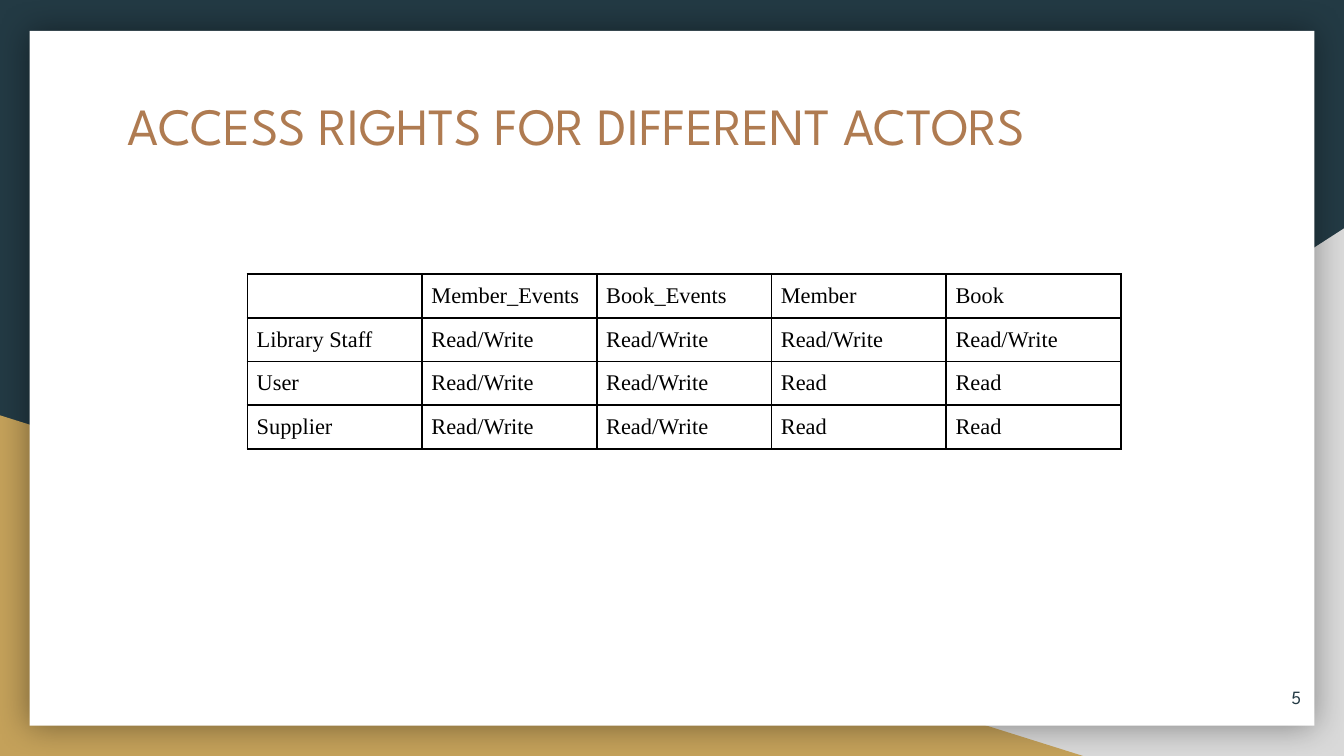
from lxml.etree import SubElement
from pptx import Presentation
from pptx.dml.color import RGBColor
from pptx.enum.shapes import MSO_SHAPE
from pptx.enum.text import MSO_ANCHOR, PP_ALIGN
from pptx.oxml.ns import qn
from pptx.util import Inches, Pt

NAVY = RGBColor(0x23, 0x3A, 0x44)
GREY = RGBColor(0xD9, 0xD9, 0xD9)
GOLD = RGBColor(0xC4, 0xA1, 0x5A)
COPPER = RGBColor(0xAF, 0x7B, 0x51)
WHITE = RGBColor(0xFF, 0xFF, 0xFF)
BLACK = RGBColor(0, 0, 0)
HEAD_FONT, TABLE_FONT = "League Spartan", "Times New Roman"

# Content
TITLE = "ACCESS RIGHTS FOR DIFFERENT ACTORS"
PAGE = "5"
RIGHTS = [
    ["", "Member_Events", "Book_Events", "Member", "Book"],
    ["Library Staff", "Read/Write", "Read/Write", "Read/Write", "Read/Write"],
    ["User", "Read/Write", "Read/Write", "Read", "Read"],
    ["Supplier", "Read/Write", "Read/Write", "Read", "Read"],
]
SLIDE_W = 10
SLIDE_H = SLIDE_W * 9 / 16
COL_W, ROW_H = 1.3, 0.32


def write(tf, text, size, color, font, align=PP_ALIGN.LEFT,
          anchor=MSO_ANCHOR.TOP, inset=0.1):
    tf.word_wrap = True
    tf.vertical_anchor = anchor
    tf.margin_left = tf.margin_right = Inches(inset)
    tf.margin_top = tf.margin_bottom = Inches(inset)
    p = tf.paragraphs[0]
    p.alignment = align
    r = p.add_run()
    r.text = text
    r.font.size, r.font.name = Pt(size), font
    r.font.color.rgb = color


def add_panel(s, kind, box, fill):
    sp = s.shapes.add_shape(kind, *map(Inches, box))
    sp.shadow.inherit = False
    sp.fill.solid()
    sp.fill.fore_color.rgb = fill
    sp.line.fill.background()
    return sp


def add_glow(sp, color, alpha, blur):
    effects = sp._element.spPr.find(qn("a:effectLst"))
    shadow = SubElement(effects, qn("a:outerShdw"), blurRad=str(Pt(blur)),
                        dist="0", dir="0", algn="ctr", rotWithShape="0")
    clr = SubElement(shadow, qn("a:srgbClr"), val=str(color))
    SubElement(clr, qn("a:alpha"), val=str(alpha * 1000))


def add_borders(cell, color, width):
    tcPr = cell._tc.get_or_add_tcPr()
    for i, side in enumerate(("lnL", "lnR", "lnT", "lnB")):
        ln = tcPr.makeelement(qn(f"a:{side}"), {"w": str(Pt(width))})
        fill = SubElement(ln, qn("a:solidFill"))
        SubElement(fill, qn("a:srgbClr"), val=str(color))
        tcPr.insert(i, ln)


prs = Presentation()
prs.slide_width, prs.slide_height = Inches(SLIDE_W), Inches(SLIDE_H)
s = prs.slides.add_slide(prs.slide_layouts[5])

# Backdrop
s.background.fill.solid()
s.background.fill.fore_color.rgb = NAVY
corner = add_panel(s, MSO_SHAPE.RIGHT_TRIANGLE,
                   (3.92, 1.7, SLIDE_W - 3.92, SLIDE_H - 1.7), GREY)
corner._element.spPr.find(qn("a:xfrm")).set("flipH", "1")
add_panel(s, MSO_SHAPE.RIGHT_TRIANGLE, (0, 3.09, 8.06, SLIDE_H - 3.09), GOLD)
card = add_panel(s, MSO_SHAPE.RECTANGLE, (0.22, 0.23, 9.56, 5.17), WHITE)
add_glow(card, BLACK, 40, 18)

# Title, moved in front of the card
title = s.shapes.title
title.left, title.top = Inches(0.85), Inches(0.59)
title.width, title.height = Inches(8.21), Inches(1.04)
write(title.text_frame, TITLE, 28, COPPER, HEAD_FONT)
s.shapes._spTree.append(title._element)

# Access rights table
rows, cols = len(RIGHTS), len(RIGHTS[0])
table = s.shapes.add_table(rows, cols, Inches(1.84), Inches(2.04),
                           Inches(cols * COL_W), Inches(rows * ROW_H)).table
table.first_row = table.horz_banding = False
for i, row in enumerate(RIGHTS):
    for j, text in enumerate(row):
        cell = table.cell(i, j)
        cell.fill.background()
        add_borders(cell, BLACK, 1)
        cell.margin_left = cell.margin_right = Inches(0.07)
        cell.margin_top = cell.margin_bottom = Inches(0.07)
        if text:
            write(cell.text_frame, text, 12, BLACK, TABLE_FONT, inset=0.07)
        else:  # keep the empty cell from stretching its row
            end = SubElement(cell.text_frame.paragraphs[0]._p,
                             qn("a:endParaRPr"), sz="1200")
            SubElement(end, qn("a:latin"), typeface=TABLE_FONT)

# Page number
tb = s.shapes.add_textbox(Inches(9.18), Inches(4.97), Inches(0.6), Inches(0.43))
write(tb.text_frame, PAGE, 10, NAVY, HEAD_FONT, align=PP_ALIGN.RIGHT,
      anchor=MSO_ANCHOR.MIDDLE)

prs.save("out.pptx")
